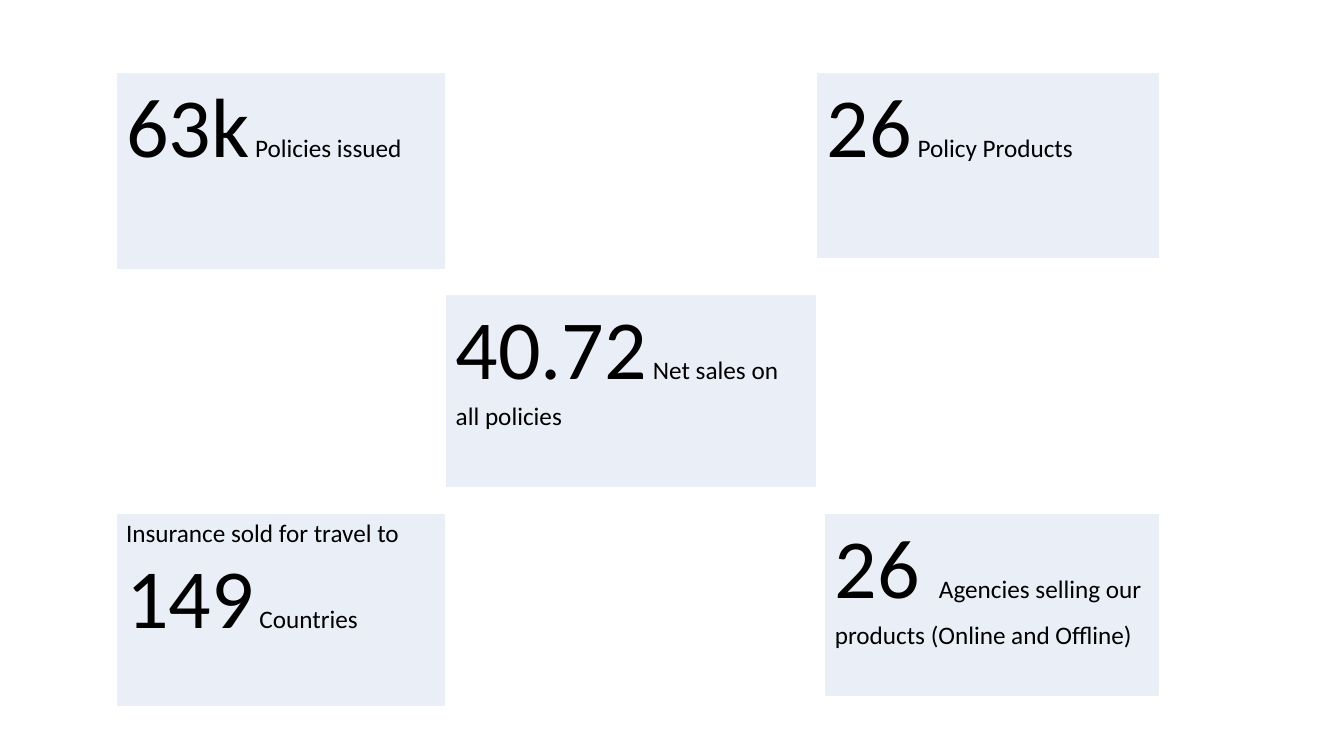
from pptx import Presentation
from pptx.dml.color import RGBColor
from pptx.util import Inches, Pt

BIG, SMALL = 60, 18
FONT = {"name": "Calibri", "bold": False}
STYLE = {"first_row": False, "horz_banding": False}
LEFT, TOP, LOW = 1.15, 0.72, 5.09

CARDS = [
    ((LEFT, TOP, 3.27, 1.95), [("63k", BIG), (" Policies issued", SMALL)]),
    ((8.1, TOP, 3.4, 1.85), [("26", BIG), (" Policy Products", SMALL)]),
    ((4.42, 2.92, 3.68, 1.92),
     [("40.72", BIG), (" Net sales on all policies", SMALL)]),
    ((8.18, LOW, 3.32, 1.82),
     [("26 ", BIG),
      ("Agencies selling our products (Online and Offline)", SMALL)]),
    ((LEFT, LOW, 3.27, 1.92),
     [("Insurance sold for travel to ", SMALL), ("149", BIG),
      (" Countries", SMALL)]),
]


def paint(target, color):
    """Set a fill or font colour from a hex string."""
    target.rgb = RGBColor.from_string(color)


def format_item(item, values):
    """Set each named attribute on an item."""
    for name, value in values.items():
        setattr(item, name, value)


def add_run(para, text, size):
    """Add one run of text in the card font."""
    run = para.add_run()
    run.text = text
    format_item(run.font, {**FONT, "size": Pt(size)})
    paint(run.font.color, "000000")


def add_card(slide, box, runs):
    """Add a one-cell table that holds a key figure and its label."""
    table = slide.shapes.add_table(1, 1, *map(Inches, box)).table
    format_item(table, STYLE)
    cell = table.cell(0, 0)
    cell.fill.solid()
    paint(cell.fill.fore_color, "EAEFF7")
    for text, size in runs:
        add_run(cell.text_frame.paragraphs[0], text, size)


def main():
    """Build the slide of key figures and save it."""
    deck = Presentation()
    format_item(deck, {"slide_width": Inches(13.33),
                       "slide_height": Inches(7.5)})
    slide = deck.slides.add_slide(deck.slide_layouts[6])
    for box, runs in CARDS:
        add_card(slide, box, runs)
    deck.save("out.pptx")


if __name__ == "__main__":
    main()
